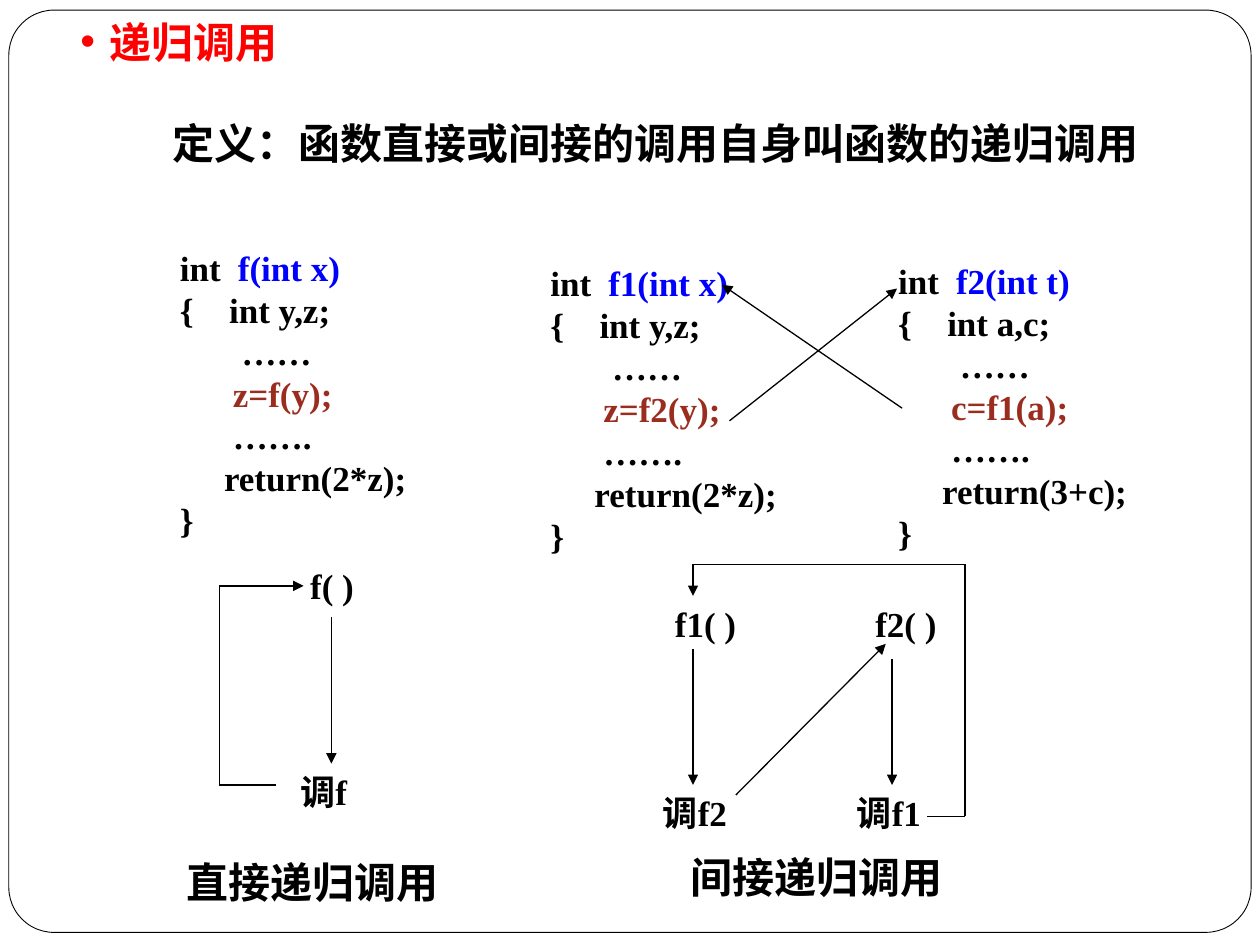
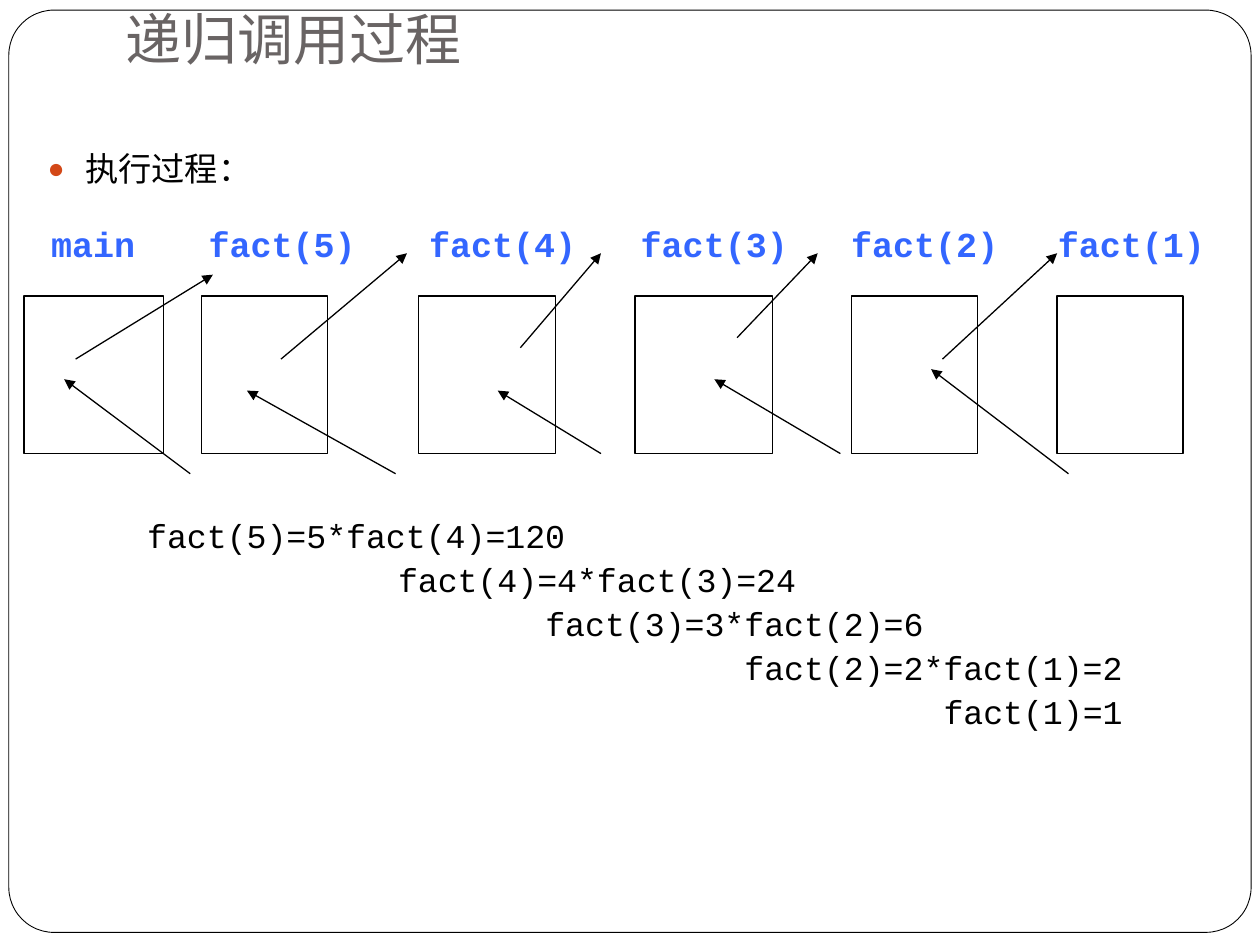
from lxml import etree
from pptx import Presentation
from pptx import util as u
from pptx.dml.color import RGBColor
from pptx.enum import shapes, text
from pptx.oxml import ns

HUE = {"ink": "000000", "paper": "FFFFFF", "red": "FF0000", "blue": "0000FF",
       "brick": "9B2D1F", "gray": "696464", "sky": "3366FF", "dot": "D34817"}
SERIF, MONO, SANS, HAN = "Times New Roman", "Courier New", "Roboto", "Noto Sans CJK SC"
LEFT, MID = text.PP_ALIGN.LEFT, text.PP_ALIGN.CENTER

TOPIC = ["递归调用", "定义：函数直接或间接的调用自身叫函数的递归调用"]
CODES = [
    (1.33, 1.91, "f(int x)", "y,z", "z=f(y);", "2*z"),
    (4.27, 2.03, "f1(int x)", "y,z", "z=f2(y);", "2*z"),
    (7.03, 2.01, "f2(int t)", "a,c", "c=f1(a);", "3+c"),
]
NODES = [
    ("f( )", 2.36, 4.43, 0.55), ("调f", 2.25, 6.06, 0.64),
    ("f1( )", 5.26, 4.73, 0.68), ("f2( )", 6.85, 4.73, 0.68),
    ("调f2", 5.13, 6.23, 0.77), ("调f1", 6.67, 6.23, 0.77),
]
NAMES = [("直接递归调用", 1.38, 6.75), ("间接递归调用", 5.38, 6.71)]
ROUTES = [
    [(2.63, 4.9), (2.63, 6.06)],
    [(2.19, 6.23), (1.74, 6.23), (1.74, 4.65), (2.41, 4.65)],
    [(5.5, 5.15), (5.5, 6.23)],
    [(5.84, 6.31), (7.03, 5.11)],
    [(7.08, 5.23), (7.08, 6.23)],
    [(7.36, 6.48), (7.66, 6.48), (7.66, 4.48), (5.5, 4.48), (5.5, 4.73)],
    [(5.79, 3.34), (7.12, 2.29)],
    [(7.16, 3.24), (5.73, 2.26)],
]

TITLE, LEAD = "递归调用过程", "执行过程："
SUMS = [("fact(5)=5*fact(4)=120", 5), ("fact(4)=4*fact(3)=24", 17.6),
        ("fact(3)=3*fact(2)=6", 25), ("fact(2)=2*fact(1)=2", 35), ("fact(1)=1", 45)]
CHAR = 0.158
CALLS = [
    ("main", 0.27, 0.94, 0.19, 1.11), ("fact(5)", 1.47, 1.54, 1.6, 1),
    ("fact(4)", 3.22, 1.54, 3.32, 1.09), ("fact(3)", 4.9, 1.54, 5.04, 1.09),
    ("fact(2)", 6.57, 1.54, 6.76, 1), ("fact(1)", 8.21, 1.54, 8.39, 1),
]
HOPS = [
    [(0.6, 2.85), (1.69, 2.18)], [(2.23, 2.85), (3.23, 2.01)],
    [(4.13, 2.76), (4.77, 2.01)], [(5.85, 2.68), (6.49, 2.01)],
    [(7.48, 2.85), (8.39, 2.01)], [(8.48, 3.76), (7.39, 2.93)],
    [(6.67, 3.6), (5.67, 3.01)], [(4.77, 3.6), (3.95, 3.1)],
    [(3.14, 3.76), (1.96, 3.1)], [(1.51, 3.76), (0.51, 3.01)],
]


def rgb(hue):
    return RGBColor.from_string(HUE[hue])


def spot(*nums):
    return [u.Inches(n) for n in nums]


def sub(node, tag, **attrs):
    item = etree.SubElement(node, ns.qn(tag))
    for key, val in attrs.items():
        item.set(key, str(val))
    return item


def style(run, size, font, hue, bold=False):
    run.font.size, run.font.name, run.font.bold = u.Pt(size), font, bold
    run.font.color.rgb = rgb(hue)
    sub(run.font._element, "a:ea", typeface=HAN)


def write(slide, lines, box, size, font, hue, bold=False, align=LEFT):
    frame = slide.shapes.add_textbox(*spot(*box)).text_frame
    frame.word_wrap = True
    frame.text = "\n".join(lines)
    for para in frame.paragraphs:
        para.alignment = align
        for run in para.runs:
            style(run, size, font, hue, bold)
    return frame


def indent(para, left, hang=0, mark=None, hue="ink", scale=100):
    props = para._p.get_or_add_pPr()
    props.set("marL", str(u.Inches(left)))
    props.set("indent", str(u.Inches(-hang)))
    if mark:
        sub(sub(props, "a:buClr"), "a:srgbClr", val=HUE[hue])
        sub(props, "a:buSzPct", val=scale * 1000)
        sub(props, "a:buFont", typeface="Arial")
        sub(props, "a:buChar", char=mark)


def route(slide, points):
    for start, end in zip(points, points[1:]):
        line = slide.shapes.add_connector(shapes.MSO_CONNECTOR.STRAIGHT, *spot(*start, *end))
        line.line.color.rgb, line.line.width = rgb("ink"), u.Pt(0.75)
        sub(line._element.spPr, "a:effectLst")
    sub(line.line._get_or_add_ln(), "a:tailEnd", type="triangle")


def block(slide, kind, box, width):
    shape = slide.shapes.add_shape(kind, *spot(*box))
    shape.shadow.inherit = False
    shape.fill.background()
    shape.line.color.rgb, shape.line.width = rgb("ink"), u.Pt(width)
    return shape


def page(deck):
    slide = deck.slides.add_slide(deck.slide_layouts[6])
    edge = block(slide, shapes.MSO_SHAPE.ROUNDED_RECTANGLE, (0.07, 0.08, 9.86, 7.32), 0.5)
    edge.adjustments[0] = 0.049
    edge.fill.solid()
    edge.fill.fore_color.rgb = rgb("paper")
    return slide


def code(slide, left, top, head, names, call, back):
    lines = ["int\t", "{\tint " + names + ";", "……", call, "…….", f"return({back});", "}"]
    frame = write(slide, lines, (left, top, 2.3, 2.44), 20, SERIF, "ink", True)
    paras = frame.paragraphs
    hangs = (0.46, 0.39, 0, 0, 0, 0, 0)
    for para, left, hang in zip(paras, (0.46, 0.39, 0.49, 0.42, 0.42, 0.35, 0), hangs):
        para.line_spacing = u.Pt(24)
        indent(para, left, hang)
    run = paras[0].add_run()
    run.text = head
    style(run, 20, SERIF, "blue", True)
    paras[3].runs[0].font.color.rgb = rgb("brick")


def node(slide, label, left, top, wide):
    frame = write(slide, [label], (left, top, wide, 0.44), 20, SERIF, "ink", True, MID)
    frame.word_wrap = False
    frame.auto_size = text.MSO_AUTO_SIZE.SHAPE_TO_FIT_TEXT
    frame.margin_left = frame.margin_right = 0
    frame.vertical_anchor = text.MSO_ANCHOR.MIDDLE


def define(deck):
    slide = page(deck)
    first, second = write(slide, TOPIC, (0.27, 0.08, 9.33, 1.25), 24, SERIF, "ink", True).paragraphs
    first.runs[0].font.color.rgb = rgb("red")
    second.space_before = u.Pt(29)
    indent(first, 0.5, 0.23, "•", "red")
    indent(second, 1)
    for item in CODES:
        code(slide, *item)
    for item in NODES:
        node(slide, *item)
    for points in ROUTES:
        route(slide, points)
    for name, left, top in NAMES:
        write(slide, [name], (left, top, 2.35, 0.5), 24, SERIF, "ink", True)


def trace(deck):
    slide = page(deck)
    head = write(slide, [TITLE], (0.9, 0, 8.07, 0.67), 32, SANS, "gray")
    head.vertical_anchor = text.MSO_ANCHOR.BOTTOM
    head.margin_bottom = u.Inches(0.1)
    lines = [LEAD] + [line for line, col in SUMS]
    lead, *sums = write(slide, lines, (0.28, 1.16, 9.45, 5.43), 19, MONO, "ink").paragraphs
    lead.runs[0].font.name = HAN
    lead.line_spacing = 0.9
    indent(lead, 0.3, 0.3, "●", "dot", 85)
    for para, (line, col) in zip(sums, SUMS):
        para.line_spacing = u.Pt(25.1)
        indent(para, col * CHAR)
    sums[0].space_before = u.Pt(184.6)
    for name, left, wide, side, span in CALLS:
        block(slide, shapes.MSO_SHAPE.RECTANGLE, (side, 2.35, span, 1.25), 0.75)
        write(slide, [name], (left, 1.72, wide, 0.44), 20, MONO, "sky", True, MID)
    for points in HOPS:
        route(slide, points)


def main():
    deck = Presentation()
    deck.slide_width, deck.slide_height = spot(10, 7.5)
    define(deck)
    trace(deck)
    deck.save("out.pptx")


if __name__ == "__main__":
    main()
